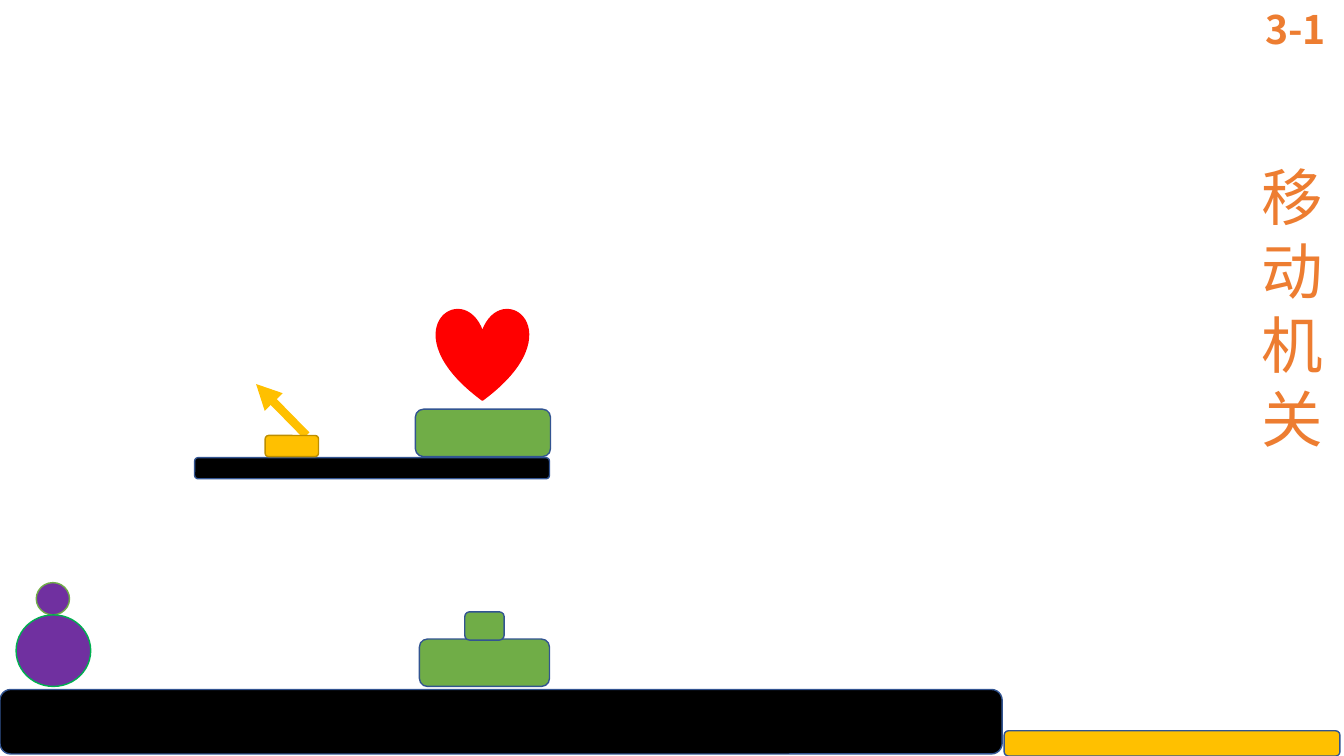
"""Build the 3-1 moving mechanism level slide."""
from lxml import etree
from pptx import Presentation
from pptx.dml.color import RGBColor
from pptx.enum.shapes import MSO_CONNECTOR, MSO_SHAPE
from pptx.oxml.ns import qn
from pptx.util import Inches, Pt

OVAL, HEART, BLOCK = MSO_SHAPE.OVAL, MSO_SHAPE.HEART, MSO_SHAPE.ROUNDED_RECTANGLE
STRAIGHT = MSO_CONNECTOR.STRAIGHT
FONT = "Noto Sans CJK JP"
LINE_PITCH = 1.2
WIDTH, HEIGHT = 13.33, 7.5
GROUND_TOP, LEDGE_TOP = 6.81, 4.53
COLORS = {
    "purple": "7030A0", "green": "70AD47", "emerald": "00B050", "red": "FF0000",
    "black": "000000", "navy": "325491", "gold": "FFC000", "bronze": "BD8E00",
    "orange": "ED7D31",
}

# Each piece: preset, left, base, width, height, fill, outline
PLAYER = [
    (OVAL, 0.36, GROUND_TOP - 0.71, 0.33, 0.32, "purple", "green"),
    (OVAL, 0.16, GROUND_TOP, 0.74, 0.71, "purple", "emerald"),
]
SCENERY = [
    (HEART, 4.33, LEDGE_TOP - 0.56, 0.91, 0.91, "red", "red"),
    (BLOCK, 0, 7.48, 9.94, 0.64, "black", "navy"),
    (BLOCK, 1.93, 4.75, 3.52, 0.21, "black", "navy"),
    (BLOCK, 4.12, LEDGE_TOP, 1.34, 0.47, "green", "navy"),
]
LEVER_ARM = (3.04, 4.32, 2.54, 3.81)
LEVER = [(BLOCK, 2.63, LEDGE_TOP, 0.53, 0.21, "gold", "bronze")]
MECHANISM = [
    (BLOCK, 4.16, GROUND_TOP, 1.29, 0.47, "green", "navy"),
    (BLOCK, 4.61, GROUND_TOP - 0.46, 0.39, 0.28, "green", "navy"),
    (BLOCK, 9.96, HEIGHT, 3.33, 0.25, "gold", "navy"),
]
# Each label: text, left, top, width, height, size, bold
LABELS = [
    ("移动机关", 12.41, 1.53, 1.29, 3.06, 44, False),
    ("3-1", 12.45, 0, 1.76, 0.57, 28, True),
]


def color(name):
    return RGBColor.from_string(COLORS[name])


def add_pieces(shapes, pieces):
    for preset, left, base, width, height, fill, outline in pieces:
        shape = shapes.add_shape(
            preset, Inches(left), Inches(base - height), Inches(width), Inches(height))
        shape.shadow.inherit = False
        shape.fill.solid()
        shape.fill.fore_color.rgb = color(fill)
        shape.line.color.rgb = color(outline)
        shape.line.width = Pt(1)


def add_arrow(shapes, ends):
    arrow = shapes.add_connector(STRAIGHT, *[Inches(end) for end in ends])
    arrow.line.color.rgb = color("gold")
    arrow.line.width = Pt(6)
    etree.SubElement(arrow.line._get_or_add_ln(), qn("a:tailEnd"), type="triangle")
    etree.SubElement(arrow._element.spPr, qn("a:effectLst"))


def add_label(shapes, text, left, top, width, height, size, bold):
    box = shapes.add_textbox(Inches(left), Inches(top), Inches(width), Inches(height))
    box.text_frame.word_wrap = True
    box.text_frame.text = text
    paragraph = box.text_frame.paragraphs[0]
    paragraph.line_spacing = Pt(size * LINE_PITCH)
    run = paragraph.runs[0]
    run.font.name = FONT
    run.font.size = Pt(size)
    run.font.bold = bold
    run.font.color.rgb = color("orange")
    east_asian = etree.SubElement(run._r.get_or_add_rPr(), qn("a:ea"))
    east_asian.set("typeface", FONT)


def main():
    presentation = Presentation()
    presentation.slide_width = Inches(WIDTH)
    presentation.slide_height = Inches(HEIGHT)
    slide = presentation.slides.add_slide(presentation.slide_layouts[6])
    shapes = slide.shapes
    add_pieces(shapes.add_group_shape().shapes, PLAYER)
    add_pieces(shapes, SCENERY)
    lever = shapes.add_group_shape()
    add_arrow(lever.shapes, LEVER_ARM)
    add_pieces(lever.shapes, LEVER)
    add_pieces(shapes, MECHANISM)
    for label in LABELS:
        add_label(shapes, *label)
    presentation.save("out.pptx")


if __name__ == "__main__":
    main()
